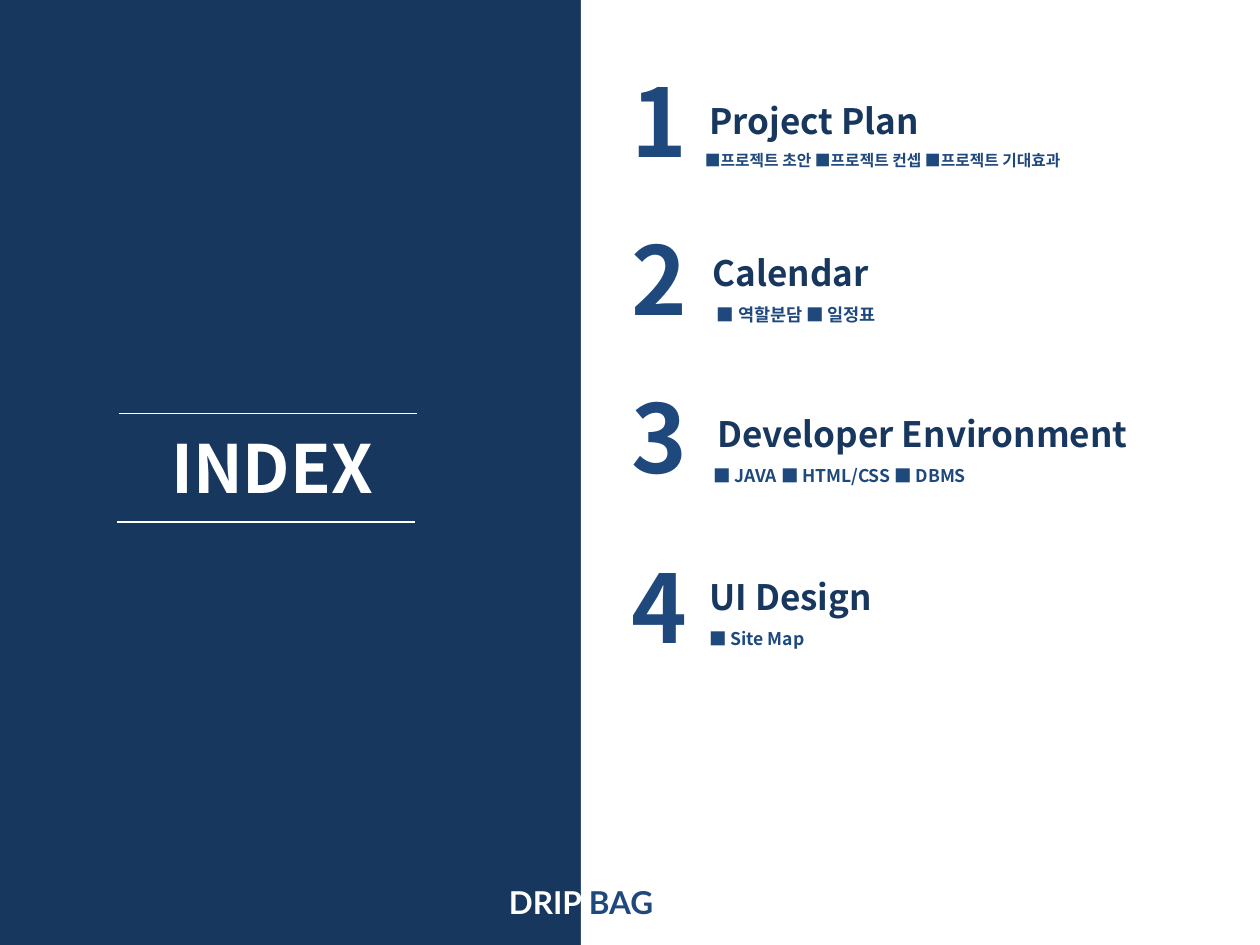
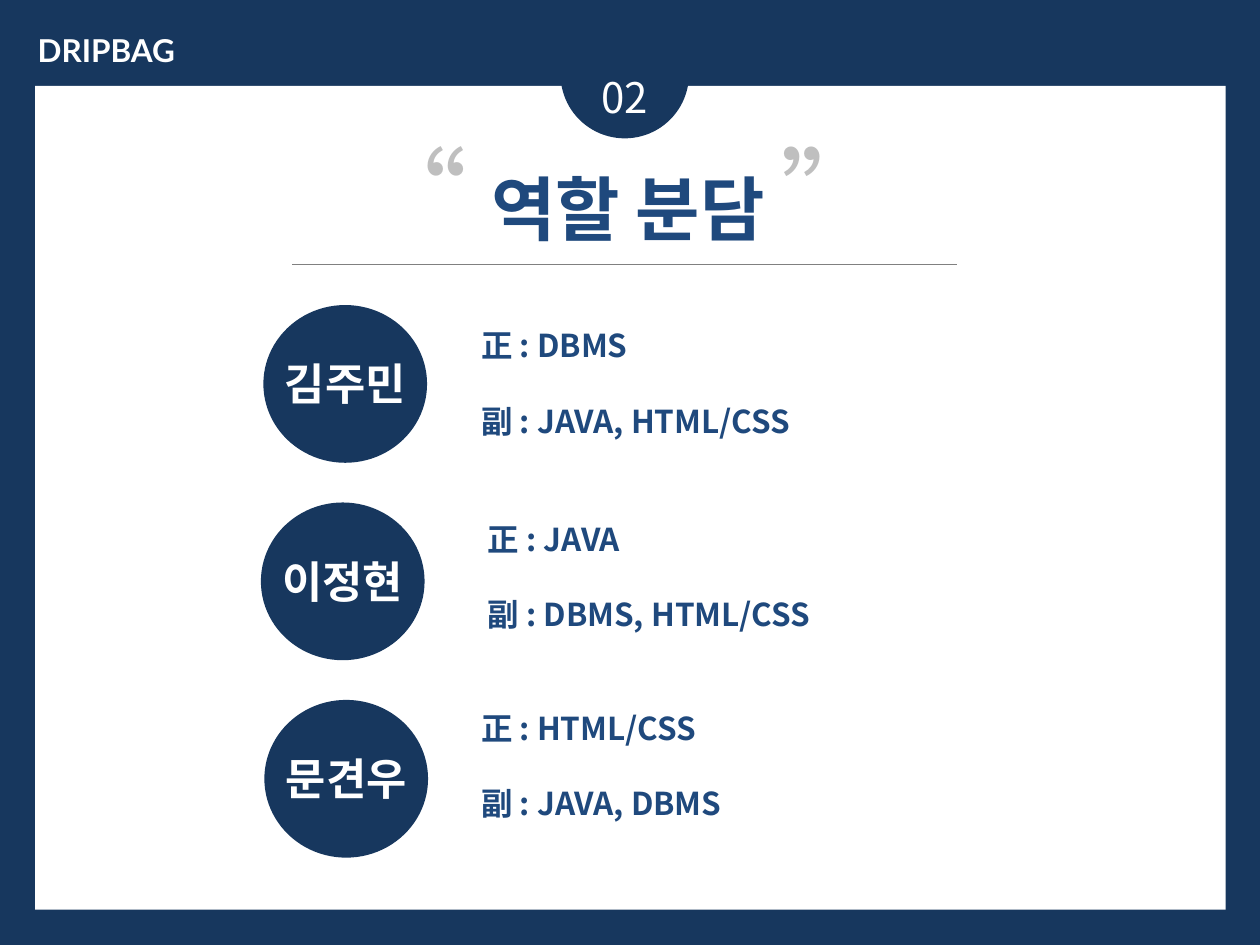
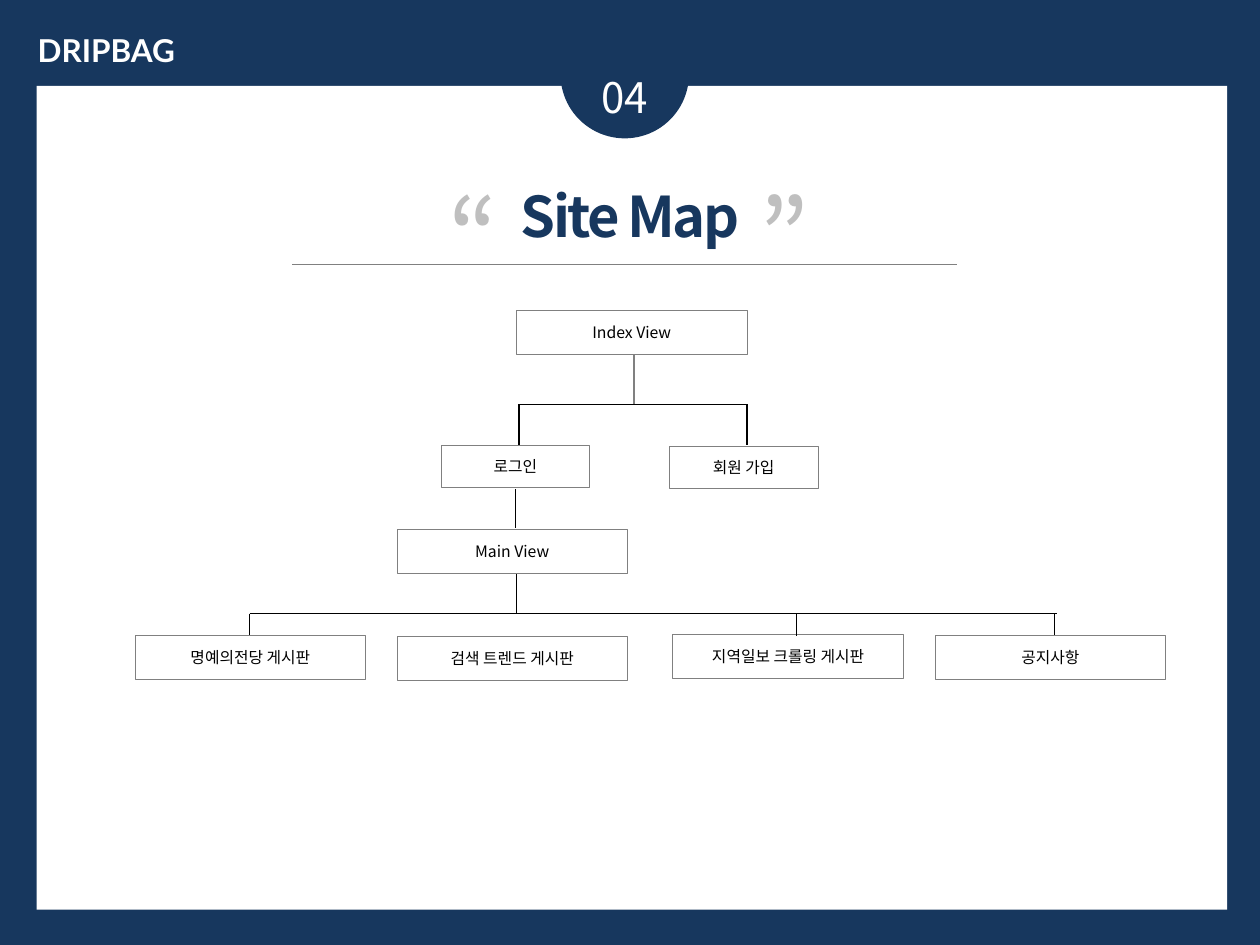
from lxml.etree import SubElement
from pptx import Presentation
from pptx.dml.color import RGBColor
from pptx.enum.shapes import MSO_CONNECTOR, MSO_SHAPE
from pptx.enum.text import MSO_ANCHOR, PP_ALIGN
from pptx.oxml.ns import qn
from pptx.util import Cm, Pt

NAVY = RGBColor(0x17, 0x37, 0x5E)
BLUE = RGBColor(0x1F, 0x49, 0x7D)
WHITE = RGBColor(0xFF, 0xFF, 0xFF)
BLACK = RGBColor(0x00, 0x00, 0x00)
GRAY = RGBColor(0x80, 0x80, 0x80)
PALE = RGBColor(0xBF, 0xBF, 0xBF)

SANS = "Noto Sans CJK KR"
LEFT, MID = PP_ALIGN.LEFT, PP_ALIGN.CENTER
RECT, OVAL = MSO_SHAPE.RECTANGLE, MSO_SHAPE.OVAL


def form(size, color, bold=True, name=SANS):
    return {"size": Pt(size), "bold": bold, "color": color, "name": name}


def put(page, box, lines=(), align=MID, kind=None, fill=WHITE, edge=None,
        anchor=MSO_ANCHOR.TOP, **style):
    """Add a text box, or a shape if kind is given; lines hold (text, form) runs."""
    box = [Cm(v) for v in box]
    if kind is None:
        shape = page.shapes.add_textbox(*box)
    else:
        shape = page.shapes.add_shape(kind, *box)
        shape.shadow.inherit = False
        shape.fill.solid()
        shape.fill.fore_color.rgb = fill
        if edge is None:
            shape.line.fill.background()
        else:
            shape.line.color.rgb = edge
            shape.line.width = Pt(0.25)
    frame = shape.text_frame
    frame.word_wrap = True
    frame.vertical_anchor = anchor
    for i, line in enumerate(lines):
        para = frame.paragraphs[0] if i == 0 else frame.add_paragraph()
        para.alignment = align
        for key, val in style.items():
            if key != "space_before" or i > 0:
                setattr(para, key, val)
        for text, look in line:
            run = para.add_run()
            run.text = text
            for key, val in look.items():
                if key == "color":
                    run.font.color.rgb = val
                else:
                    setattr(run.font, key, val)
            SubElement(run._r.rPr, qn("a:ea"), typeface=look["name"])
    return shape


deck = Presentation()
deck.slide_width, deck.slide_height = Cm(25.4), Cm(19.05)
pages = [deck.slides.add_slide(deck.slide_layouts[6]) for _ in range(3)]
for page in pages:
    page.background.fill.solid()
    page.background.fill.fore_color.rgb = NAVY
index, roles, site = pages
rules = []

# Index
put(index, (11.71, 0, 13.69, 19.05), kind=RECT)
put(index, (3.2, 8.48, 7.59, 1.88), [[("INDEX", form(38, WHITE))]], LEFT)
put(index, (6.71, 17.68, 10.01, 1.37),
    [[("DRIP ", form(18, WHITE, name="Lato")), ("BAG", form(18, BLUE, name="Lato"))]])
rules += [(index, 2.39, 8.33, 8.41, 8.33, WHITE), (index, 2.36, 10.52, 8.36, 10.52, WHITE)]

topics = [
    (1.12, 13.89, 1.45, " Project Plan", " ■프로젝트 초안 ■프로젝트 컨셉 ■프로젝트 기대효과", 9),
    (4.32, 14.12, 4.52, "Calendar", " ■ 역할분담 ■ 일정표", 10),
    (7.49, 14.05, 7.77, " Developer Environment", " ■ JAVA ■ HTML/CSS ■ DBMS", 10),
    (10.92, 14.05, 11.05, "UI Design", "■ Site Map", 10),
]
for num, (high, x, y, title, note, size) in enumerate(topics, 1):
    put(index, (12.45, high, 1.7, 2.57), [[(str(num), form(54, BLUE))]],
        anchor=MSO_ANCHOR.MIDDLE)
    put(index, (x, y, 11.3, 2.18),
        [[(title, form(20, NAVY))], [(note, form(size, BLUE))]], LEFT, line_spacing=1.5)

# Frame of the inner pages
for page, x, num in [(roles, 0.71, "02"), (site, 0.74, "04")]:
    put(page, (x, 1.73, 24, 16.61), kind=RECT)
    put(page, (11.3, 0.2, 2.59, 2.59), kind=OVAL, fill=NAVY)
    put(page, (11.1, 1.32, 3, 1.27), [[(num, form(24, WHITE, False))]])
    put(page, (0.48, 0.51, 3.33, 1.47), [[("DRIPBAG", form(18, WHITE, name="Lato"))]])
    rules.append((page, 5.89, 5.33, 19.3, 5.33, GRAY))

# Roles
quote = form(60, PALE, False)
put(roles, (2.59, 2.51, 19.99, 2.82),
    [[("“ ", quote), ("역할 분담 ", form(40, BLUE)), ("”", quote)]])
team = [
    (5.31, "김주민", 9.45, 6.45, "DBMS", "JAVA, HTML/CSS"),
    (5.26, "이정현", 9.58, 10.36, "JAVA", "DBMS, HTML/CSS"),
    (5.33, "문견우", 9.45, 14.17, "HTML/CSS", "JAVA, DBMS"),
]
for i, (x, name, left, top, main, sub) in enumerate(team):
    y = 6.15 + 3.98 * i
    put(roles, (x, y, 3.3, 3.18), kind=OVAL, fill=NAVY)
    put(roles, (x - 0.38, y + 0.92, 4.06, 1.32), [[(name, form(25, WHITE))]])
    put(roles, (left, top, 8.05, 2.57),
        [[(text, form(18, BLUE))] for text in (f"正 : {main}", f"副 : {sub}")],
        LEFT, space_before=Pt(21.5))

# Site map
for x, mark in [(8.25, "“"), (14.51, "”")]:
    put(site, (x, 3.33, 2.6, 2.82), [[(mark, quote)]])
title = put(site, (6.71, 3.53, 11.99, 1.63), [[("Site Map", form(32, NAVY))]])
title.text_frame.paragraphs[0].runs[0]._r.rPr.set("spc", "-150")

views = [
    (10.41, 6.25, 4.65, "Index View"),
    (8.89, 8.97, 3, "로그인"),
    (13.49, 8.99, 3, "회원 가입"),
    (8, 10.67, 4.65, "Main View"),
    (2.72, 12.8, 4.65, "명예의전당 게시판"),
    (8, 12.83, 4.65, "검색 트렌드 게시판"),
    (13.56, 12.78, 4.65, "지역일보 크롤링 게시판"),
    (18.85, 12.8, 4.65, "공지사항"),
]
for x, y, wide, text in views:
    put(site, (x, y, wide, 0.89 if wide > 3 else 0.86), [[(text, form(9, BLACK, False))]],
        kind=RECT, edge=GRAY, anchor=MSO_ANCHOR.MIDDLE)

rules.append((site, 12.78, 7.16, 12.78, 8.15, GRAY))
for x, y, end in [(10.46, 8.15, 15.06), (5.03, 12.37, 21.31)]:
    rules.append((site, x, y, end, y, BLACK))
stems = [(10.46, 8.15, 8.97), (15.06, 8.15, 8.97), (10.39, 9.86, 10.64),
         (10.41, 11.58, 12.37), (5.03, 12.37, 12.8), (16.05, 12.37, 12.83),
         (21.26, 12.37, 12.8)]
for x, y, end in stems:
    rules.append((site, x, y, x, end, BLACK))

# Lines of all pages
for page, *ends, color in rules:
    line = page.shapes.add_connector(MSO_CONNECTOR.STRAIGHT, *[Cm(v) for v in ends])
    line.line.color.rgb = color
    line.line.width = Pt(0.75)
    SubElement(line._element.spPr, qn("a:effectLst"))

deck.save("out.pptx")
